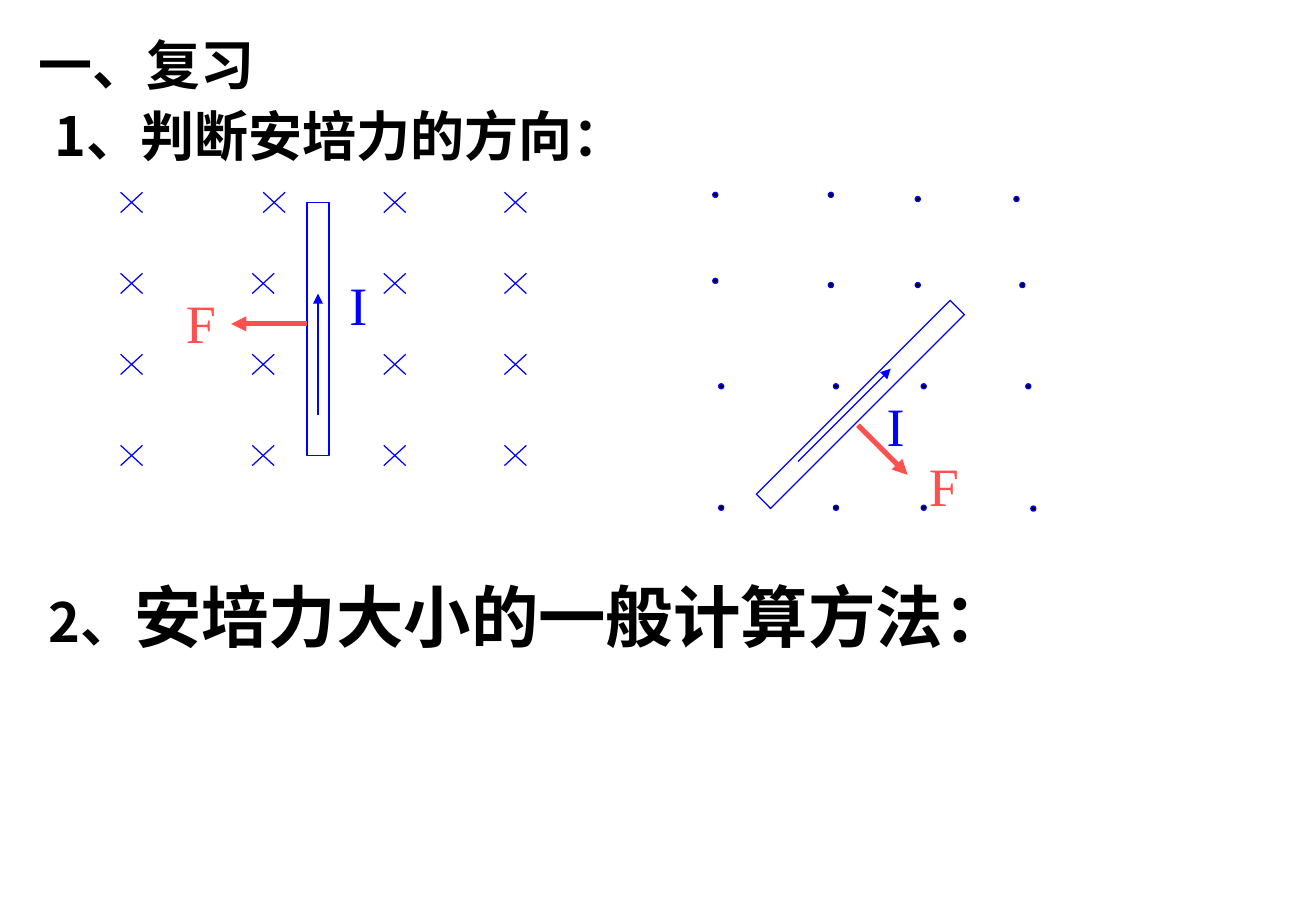
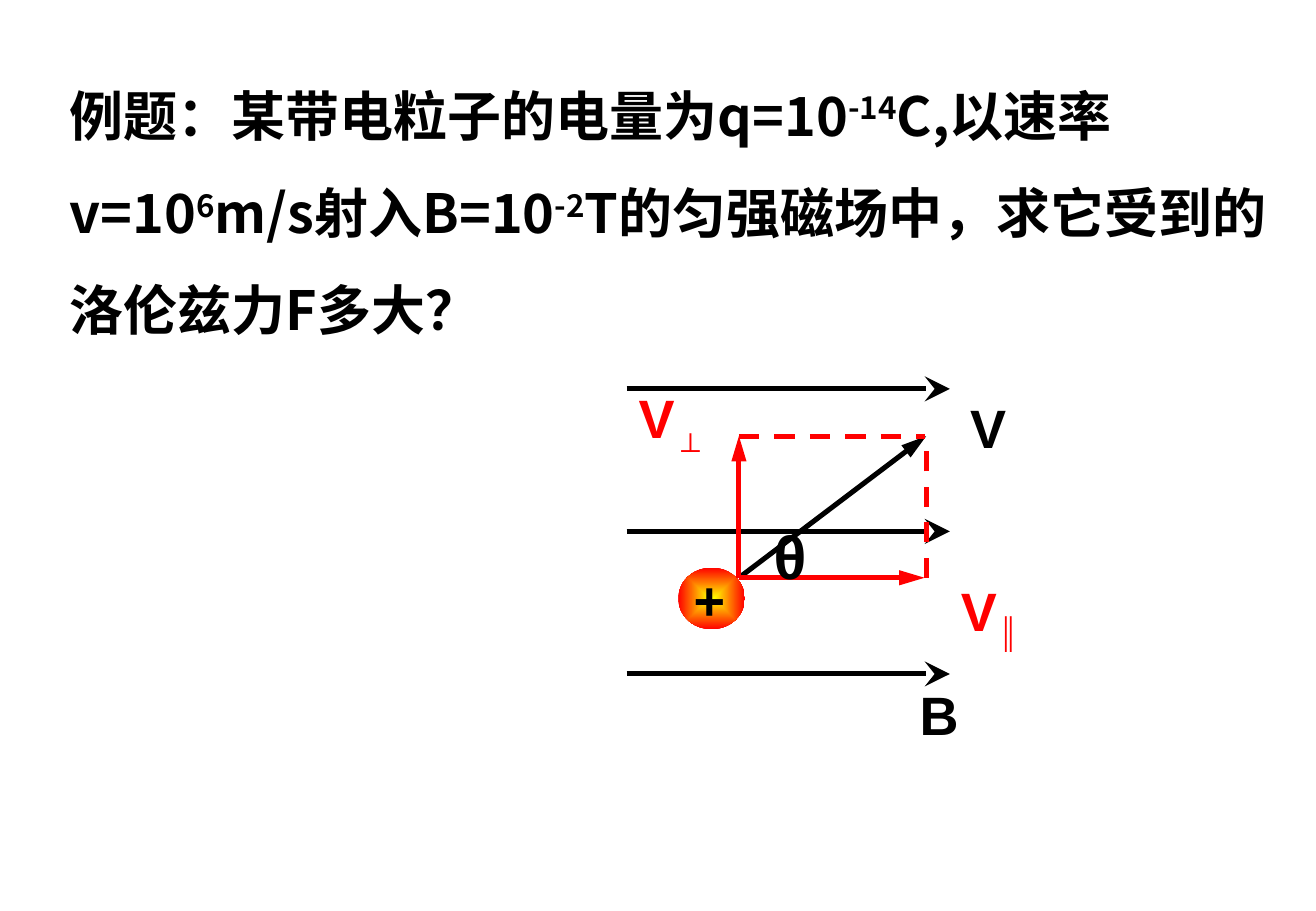
from pptx import Presentation
from pptx.dml.color import RGBColor
from pptx.enum.dml import MSO_LINE
from pptx.enum.shapes import MSO_CONNECTOR, MSO_SHAPE
from pptx.enum.text import MSO_AUTO_SIZE
from pptx.oxml import parse_xml
from pptx.oxml.ns import nsdecls, qn
from pptx.util import Pt

COLORS = {
    "ink": "000000", "paper": "FFFFFF", "current": "0000FF",
    "force": "FF5050", "velocity": "FF0000", "glow": "FFFF00",
}
HAN, SANS, SERIF = "Noto Sans CJK SC", "Arial", "Times New Roman"
THIN, THICK = 0.75, 3


class Deck:
    """Holds the style, the current slide and the container that receives shapes."""

    def __init__(self):
        """Start an empty presentation."""
        self.presentation = Presentation()
        self.presentation.slide_width = Pt(780)
        self.presentation.slide_height = Pt(540)

    def color(self, key):
        """Return a palette colour."""
        return RGBColor.from_string(COLORS[key])

    def slide(self):
        """Add a blank white slide and draw on it."""
        self.page = self.presentation.slides.add_slide(self.presentation.slide_layouts[6])
        self.page.background.fill.solid()
        self.page.background.fill.fore_color.rgb = self.color("paper")
        self.ungroup()

    def group(self):
        """Draw the next elements inside a new group."""
        self.shapes = self.page.shapes.add_group_shape().shapes

    def ungroup(self):
        """Draw the next elements directly on the slide."""
        self.shapes = self.page.shapes

    def text(self, box, runs, color="ink", bold=True, wrap=False, spacing=None):
        """Add a text box whose runs are (text, size, font, baseline)."""
        frame = self.shapes.add_textbox(*map(Pt, box)).text_frame
        frame.word_wrap = wrap
        frame.auto_size = MSO_AUTO_SIZE.SHAPE_TO_FIT_TEXT
        paragraph = frame.paragraphs[0]
        if spacing:
            paragraph.line_spacing = spacing
        for words, size, face, baseline in runs:
            run = paragraph.add_run()
            run.text = words
            run.font.size = Pt(size)
            run.font.bold = bold
            run.font.name = face
            run.font.color.rgb = self.color(color)
            properties = run.font._element
            if wrap:
                properties.append(parse_xml(f'<a:ea {nsdecls("a")} typeface="{HAN}"/>'))
            if baseline:
                properties.set("baseline", str(baseline * 1000))

    def symbol(self, box, letter, color="ink", face=SANS, size=32, subscript=None):
        """Add a one-letter label, with a subscript if given."""
        runs = [(letter, size, face, 0)]
        if subscript:
            runs.append((subscript, size, face, -25))
        self.text(box, runs, color, bold=face == SANS)

    def line(self, start, end, color, width=THICK, head=None, size=("med", "med"), dashed=False):
        """Add a straight line with an optional arrowhead of (width, length) size."""
        connector = self.shapes.add_connector(
            MSO_CONNECTOR.STRAIGHT, *map(Pt, (*start, *end)))
        connector.line.color.rgb = self.color(color)
        connector.line.width = Pt(width)
        if dashed:
            connector.line.dash_style = MSO_LINE.DASH
        properties = connector._element.spPr
        if head:
            properties.find(qn("a:ln")).append(parse_xml(
                f'<a:tailEnd {nsdecls("a")} type="{head}" w="{size[0]}" len="{size[1]}"/>'))
        properties.append(parse_xml(f'<a:effectLst {nsdecls("a")}/>'))

    def shape(self, kind, box, fill, outline=None, rotation=0):
        """Add a preset shape with a thin outline or none."""
        shape = self.shapes.add_shape(kind, *map(Pt, box))
        shape.shadow.inherit = False
        shape.rotation = rotation
        shape.fill.solid()
        shape.fill.fore_color.rgb = self.color(fill)
        if outline:
            shape.line.color.rgb = self.color(outline)
            shape.line.width = Pt(THIN)
        else:
            shape.line.fill.background()
        return shape

    def cross(self, x, y):
        """Mark a field line that points into the page."""
        for side in (1, -1):
            self.line((x + 6.5 * side, y - 6), (x - 6.5 * side, y + 6), "current", THIN)

    def dot(self, x, y):
        """Mark a field line that points out of the page."""
        self.shape(MSO_SHAPE.OVAL, (x - 1.5, y - 1.5, 3, 3), "ink", "current")

    def particle(self, box):
        """Add a ball that glows from its centre."""
        ball = self.shape(MSO_SHAPE.OVAL, box, "velocity")
        ball.fill.gradient()
        for stop, key, place in zip(ball.fill.gradient_stops, ("glow", "velocity"), (0, 1)):
            stop.color.rgb = self.color(key)
            stop.position = place
        gradient = ball._element.spPr.find(qn("a:gradFill"))
        gradient.replace(gradient.find(qn("a:lin")), parse_xml(
            f'<a:path {nsdecls("a")} path="shape">'
            '<a:fillToRect l="50000" t="50000" r="50000" b="50000"/></a:path>'))


def review(deck):
    """Build the review of the force on a current."""
    deck.slide()
    deck.text((25, 57.5, 660, 45), [("1", 32, HAN, 0), ("、判断安培力的方向：", 32, SERIF, 0)], wrap=True)

    deck.group()
    for y in (120, 168, 216, 270):
        for x in (78, 162.5 if y == 120 else 156, 234, 305.5):
            deck.cross(x, y)
    deck.shape(MSO_SHAPE.RECTANGLE, (182, 120, 13, 150), "paper", "current")
    deck.line((188.5, 246), (188.5, 174), "current", THIN, "triangle")
    deck.symbol((200, 157.5, 27.5, 45), "I", "current", SERIF)

    deck.group()
    field = (
        ((424, 115.5), (492.5, 115.5), (544, 118), (602.5, 118)),
        ((424, 166.5), (492.5, 169), (544, 169), (606, 169)),
        ((427.5, 229), (495.5, 229), (547.5, 229), (609.5, 229)),
        ((427.5, 301), (495.5, 301), (547.5, 301), (612.5, 301.5)),
    )
    for row in field:
        for x, y in row:
            deck.dot(x, y)
    deck.shape(MSO_SHAPE.RECTANGLE, (504, 158.5, 12, 162.5), "paper", "current", 45)
    deck.line((473, 273.5), (528, 218.5), "current", THIN, "triangle")
    deck.symbol((518.5, 229, 27.5, 45), "I", "current", SERIF)

    deck.ungroup()
    deck.text((21.5, 337.5, 737, 55.5),
              [("2、", 32, HAN, 0), ("安培力大小的一般计算方法：", 40, SANS, 0)], wrap=True)
    forces = (
        ((182, 192), (137, 192), (103, 168)),
        ((508.5, 252), (538, 281.5), (543.5, 264.5)),
    )
    for start, end, corner in forces:
        deck.group()
        deck.line(start, end, "force", head="triangle")
        deck.symbol((*corner, 35, 45), "F", "force", SERIF)
    deck.ungroup()
    deck.text((16, 15, 241, 45), [("一、复习", 32, SANS, 0)], wrap=True)


def example(deck):
    """Build the worked example of a moving charge."""
    deck.slide()
    question = (
        ("例题：某带电粒子的电量为q=10", 0), ("-14", 30), ("C,以速率v=10", 0), ("6", 30),
        ("m/s射入B=10", 0), ("-2", 30), ("T的匀强磁场中，求它受到的洛伦兹力F多大？", 0),
    )
    deck.text((34, 26, 725, 180), [(words, 32, HAN, base) for words, base in question],
              wrap=True, spacing=1.5)

    left, right, top, base = 438, 549, 258.5, 342.5
    long_head = ("med", "lg")
    deck.group()
    for y in (230.5, 315, 399.5):
        deck.line((371.5, y), (563, y), "ink", head="stealth", size=("lg", "lg"))
    deck.particle((402, 336.5, 39.5, 36.5))
    deck.line((left, base), (right, top), "ink", head="triangle", size=long_head)
    deck.symbol((568, 230.5, 39, 45), "V")
    deck.symbol((404, 332, 36, 45), "+")
    deck.symbol((538, 400.5, 41, 45), "B")

    deck.ungroup()
    for end in ((right - 1, base), (left, top)):
        deck.line((left, base), end, "velocity", head="triangle", size=long_head)
    for start, end in (((right, base), (right, top)), ((left, top), (right - 1, top))):
        deck.line(start, end, "velocity", dashed=True)
    deck.symbol((562.5, 338.5, 62, 45), "V", "velocity", subscript="∥")
    deck.symbol((371.5, 224.5, 62, 45), "V", "velocity", subscript="⊥")
    deck.symbol((451.5, 304, 55, 50), "θ", size=36)


def main():
    """Build and save both slides."""
    deck = Deck()
    review(deck)
    example(deck)
    deck.presentation.save("out.pptx")


if __name__ == "__main__":
    main()
